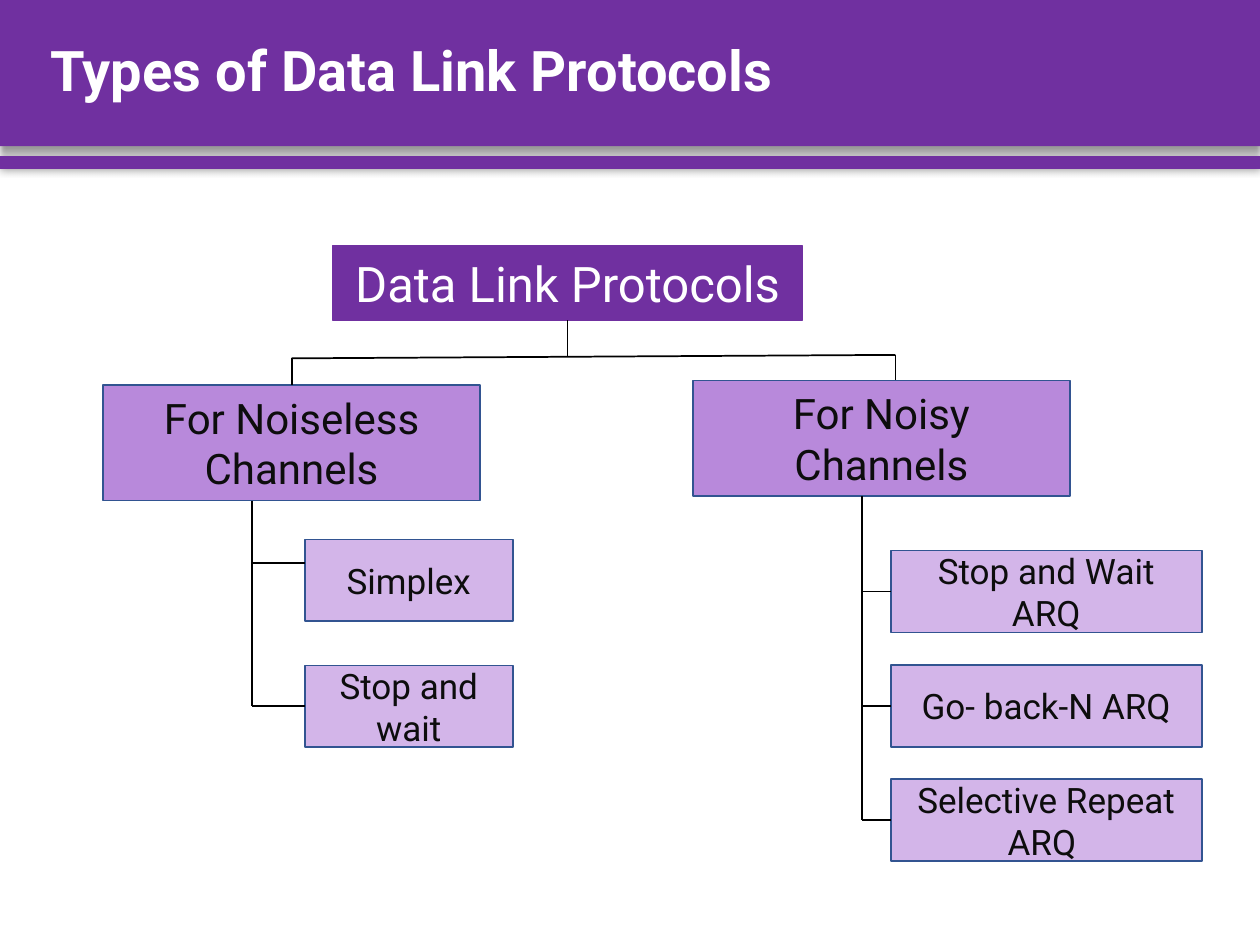
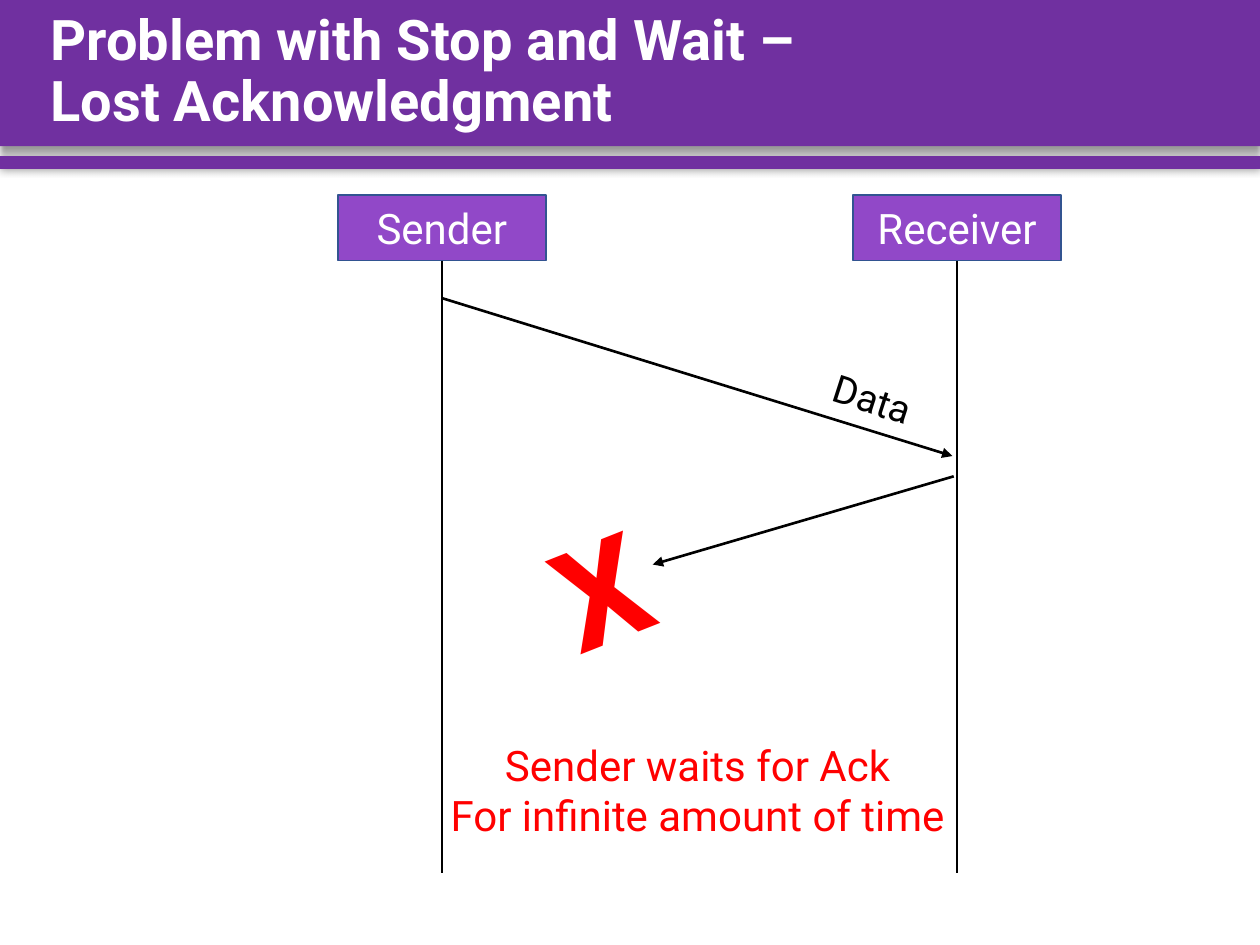
import lxml.etree
import pptx
import pptx.dml.color
import pptx.enum.shapes
import pptx.enum.text
import pptx.oxml.ns
import pptx.util

Pt = pptx.util.Pt
qn = pptx.oxml.ns.qn

COLORS = {
    "band": "7030A0",
    "actor": "9148C8",
    "category": "B889DB",
    "protocol": "D3B5E9",
    "border": "325491",
    "dark": "0D0D0D",
    "black": "000000",
    "white": "FFFFFF",
    "red": "FF0000",
}
FONT = "Roboto"
TITLE_ONLY = 5
TOP, LEFT, BOTTOM = 0, 1, 2


def rgb(name):
    return pptx.dml.color.RGBColor.from_string(COLORS[name])


def add_color(parent, name, alpha=100):
    color = lxml.etree.SubElement(parent, qn("a:srgbClr"), val=COLORS[name])
    if alpha < 100:
        lxml.etree.SubElement(color, qn("a:alpha"), val=str(alpha * 1000))


def side_point(shape, side):
    if side == LEFT:
        return shape.left / Pt(1), (shape.top + shape.height / 2) / Pt(1)
    edge = shape.top if side == TOP else shape.top + shape.height
    return (shape.left + shape.width / 2) / Pt(1), edge / Pt(1)


class Deck:
    def __init__(self):
        self.presentation = pptx.Presentation()
        self.presentation.slide_width = Pt(720)
        self.presentation.slide_height = Pt(540)
        self.layout = self.presentation.slide_layouts[TITLE_ONLY]
        self.slide = None
        self.prepare_layout()

    def prepare_layout(self):
        title, *footers = self.layout.placeholders
        title.left, title.top, title.width, title.height = Pt(21.6), Pt(0), Pt(681), Pt(83.5)
        for footer in footers:
            footer.element.getparent().remove(footer.element)

    def add_slide(self, title):
        first = self.slide is None
        self.slide = self.presentation.slides.add_slide(self.layout)
        if first:
            bands = [self.band(0, 83.5, 4, 3, 90), self.band(89.3, 7.2, 5, 0, 0)]
            for index, band in enumerate(bands, 2):
                self.layout.shapes.element.insert(index, band.element)
        frame = self.slide.shapes.title.text_frame
        frame.auto_size = pptx.enum.text.MSO_AUTO_SIZE.NONE
        self.set_text(frame, title, 32, "white", bold=True, centered=False)
        frame.paragraphs[0].line_spacing = 0.9

    def set_text(self, frame, text, size, color, bold=False, centered=True):
        frame.text = text
        frame.vertical_anchor = pptx.enum.text.MSO_ANCHOR.MIDDLE
        align = pptx.enum.text.PP_ALIGN
        for paragraph in frame.paragraphs:
            paragraph.alignment = align.CENTER if centered else align.LEFT
            for run in paragraph.runs:
                run.font.name = FONT
                run.font.size = Pt(size)
                run.font.bold = bold
                run.font.color.rgb = rgb(color)

    def rectangle(self, left, top, width, height, fill, border=None):
        shape = self.slide.shapes.add_shape(
            pptx.enum.shapes.MSO_SHAPE.RECTANGLE, Pt(left), Pt(top), Pt(width), Pt(height))
        shape.shadow.inherit = False
        shape.fill.solid()
        shape.fill.fore_color.rgb = rgb(fill)
        if border:
            shape.line.color.rgb = rgb(border)
            shape.line.width = Pt(1)
        else:
            shape.line.fill.background()
        return shape

    def band(self, top, height, blur, distance, angle):
        shape = self.rectangle(0, top, 720, height, "band")
        effects = shape.element.spPr.find(qn("a:effectLst"))
        shadow = lxml.etree.SubElement(
            effects, qn("a:outerShdw"), blurRad=str(Pt(blur)), dist=str(Pt(distance)),
            dir=str(angle * 60000), algn="t", rotWithShape="0")
        add_color(shadow, "black", 40)
        return shape

    def box(self, text, left, top, width, height, fill, size, color="dark", border="border"):
        shape = self.rectangle(left, top, width, height, fill, border)
        self.set_text(shape.text_frame, text, size, color)
        return shape

    def label(self, text, left, top, width, height, size, color,
              rotation=0, bold=False, centered=True, wrap=False):
        shape = self.slide.shapes.add_textbox(Pt(left), Pt(top), Pt(width), Pt(height))
        shape.rotation = rotation
        frame = shape.text_frame
        frame.word_wrap = wrap
        frame.auto_size = pptx.enum.text.MSO_AUTO_SIZE.SHAPE_TO_FIT_TEXT
        self.set_text(frame, text, size, color, bold, centered)
        frame.vertical_anchor = pptx.enum.text.MSO_ANCHOR.TOP
        return shape

    def outline_text(self, shape, color, width):
        for run_properties in shape.element.iter(qn("a:rPr")):
            outline = lxml.etree.Element(qn("a:ln"), w=str(Pt(width)))
            add_color(lxml.etree.SubElement(outline, qn("a:solidFill")), color)
            run_properties.insert(0, outline)

    def line(self, start, end, width=1, arrow=False, begin_at=None, end_at=None):
        connector = self.slide.shapes.add_connector(
            pptx.enum.shapes.MSO_CONNECTOR.STRAIGHT, *(Pt(value) for value in (*start, *end)))
        if begin_at:
            connector.begin_connect(*begin_at)
        if end_at:
            connector.end_connect(*end_at)
        connector.line.color.rgb = rgb("black")
        connector.line.width = Pt(width)
        properties = connector.element.spPr
        if arrow:
            lxml.etree.SubElement(properties.find(qn("a:ln")), qn("a:tailEnd"), type="triangle")
        lxml.etree.SubElement(properties, qn("a:effectLst"))


def protocol_types(deck):
    deck.add_slide("Types of Data Link Protocols")
    root = deck.box("Data Link Protocols", 190, 140.4, 268.6, 42.5, "band", 28, "white", "band")
    noiseless = deck.box("For Noiseless Channels", 59, 219.9, 215.3, 66.2, "category", 24)
    deck.box("For Noisy Channels", 396, 217.4, 215.3, 66.2, "category", 24)
    simplex, stop_and_wait = [
        deck.box(text, 174.2, 308.2 + 72 * row, 118.8, 46.8, "protocol", 20)
        for row, text in enumerate(("Simplex", "Stop and wait"))]
    noisy_protocols = [
        deck.box(text, 509, 314.6 + 65.3 * row, 177.8, 46.8, "protocol", 20)
        for row, text in enumerate(
            ("Stop and Wait ARQ", "Go- back-N ARQ", "Selective Repeat ARQ "))]

    root_x, root_bottom = side_point(root, BOTTOM)
    noiseless_x, noiseless_top = side_point(noiseless, TOP)
    noisy_x = 511.7
    deck.line((root_x, root_bottom), (root_x, 204.2), begin_at=(root, BOTTOM))
    deck.line((noiseless_x, 204.8), (noisy_x, 202.8))
    deck.line((noiseless_x, 204.8), (noiseless_x, noiseless_top), end_at=(noiseless, TOP))
    deck.line((noisy_x, 202.8), (noisy_x, 217.4))

    deck.line((144, 321.8), (simplex.left.pt, 321.8))
    for spine_x, spine_top, protocols in (
            (144, 286.1, [stop_and_wait]), (492.5, 283.6, noisy_protocols)):
        for protocol in protocols:
            edge_x, middle = side_point(protocol, LEFT)
            deck.line((spine_x, middle), (edge_x, middle), end_at=(protocol, LEFT))
        deck.line((spine_x, spine_top), (spine_x, middle))


def lost_acknowledgment(deck):
    deck.add_slide("Problem with Stop and Wait – \vLost Acknowledgment")
    for text, left in (("Sender", 193), ("Receiver", 487.4)):
        actor = deck.box(text, left, 111.5, 119, 37.4, "actor", 24, "white")
        x, bottom = side_point(actor, BOTTOM)
        deck.line((x, bottom), (x, 499), 1.5, begin_at=(actor, BOTTOM))
    deck.line((252.7, 170.4), (544.3, 260.6), 1.5, arrow=True)
    deck.label("Data", 468.7, 211, 59.8, 33.8, 22, "black", rotation=17.9, centered=False)
    deck.label("Sender waits for Ack\vFor infinite amount of time",
               247.5, 419, 302.4, 65.5, 24, "red")
    cross = deck.label("X", 302.4, 283.7, 81.4, 104.4, 80, "red",
                       rotation=338.4, bold=True, wrap=True)
    deck.outline_text(cross, "white", 0.75)
    deck.line((545, 272.2), (373, 322.6), 1.5, arrow=True)


def main():
    deck = Deck()
    protocol_types(deck)
    lost_acknowledgment(deck)
    deck.presentation.save("out.pptx")


if __name__ == "__main__":
    main()
